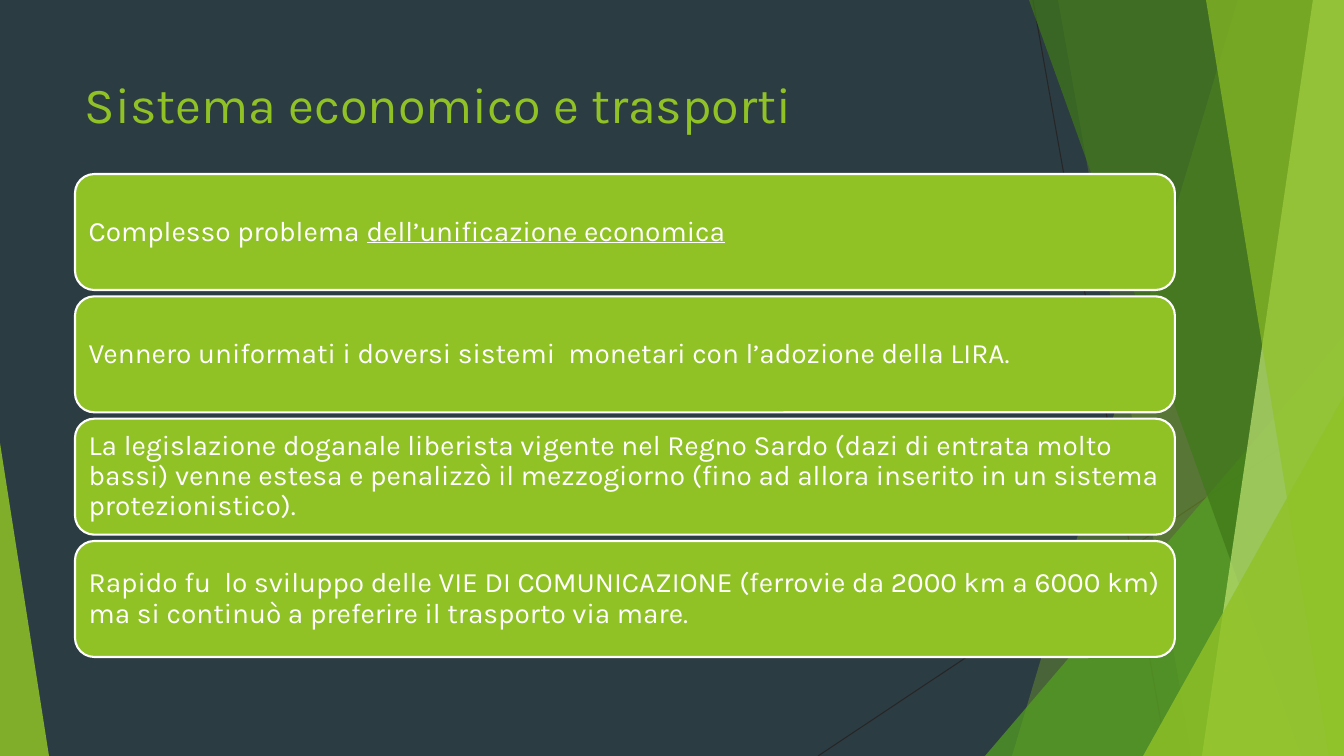
from lxml import etree
from pptx import Presentation
from pptx.dml.color import RGBColor
from pptx.enum.shapes import MSO_CONNECTOR, MSO_SHAPE
from pptx.enum.text import MSO_ANCHOR, PP_ALIGN
from pptx.oxml.ns import qn
from pptx.util import Pt

TRIANGLE, ROUNDED = MSO_SHAPE.ISOSCELES_TRIANGLE, MSO_SHAPE.ROUNDED_RECTANGLE
STRAIGHT = MSO_CONNECTOR.STRAIGHT
TOP, MIDDLE = MSO_ANCHOR.TOP, MSO_ANCHOR.MIDDLE
LEFT = PP_ALIGN.LEFT

TITLE = "Sistema economico e trasporti"
CARDS = [
    [("Complesso problema ", False), ("dell’unificazione economica", True)],
    [("Vennero uniformati i doversi sistemi  monetari con l’adozione della LIRA.", False)],
    [("La legislazione doganale liberista vigente nel Regno Sardo (dazi di entrata "
      "molto bassi) venne estesa e penalizzò il mezzogiorno (fino ad allora inserito "
      "in un sistema protezionistico).", False)],
    [("Rapido fu  lo sviluppo delle VIE DI COMUNICAZIONE (ferrovie da 2000 km a 6000 "
      "km) ma si continuò a preferire il trasporto via mare.", False)],
]

FONT = "Karla"
COLORS = {"bg": "2C3C43", "lime": "90C226", "green": "54A021", "forest": "3F7819",
          "pale": "C0E474", "line": "262626", "white": "FFFFFF"}
PX = 914400 / 100.8
WIDTH, HEIGHT = 1344, 756

RAYS = [(1033, 0, 1167, HEIGHT), (WIDTH, 406, 818, HEIGHT)]
FACETS = [
    ("band", (1238, 1012), "lime", 30),
    ("band", (1058, 1192), "lime", 20),
    ("triangle", (985, 336, 359, 1), "green", 72),
    ("band", (1029, 1301), "forest", 70),
    ("band", (1313, 1202), "pale", 70),
    ("band", (1206, 1329), "lime", 65),
    ("triangle", (1143, 396, 201, 1), "lime", 80),
    ("triangle", (0, 443, 49, 0), "lime", 85),
]
TITLE_BOX = (75, 68, 948, 145)
CARD_LEFT, CARD_TOP, CARD_WIDTH, CARD_HEIGHT = 75, 174, 1100, 116
CARDS_BOTTOM, CARD_INSET = 657, 8


def emu(*values):
    return [round(v * PX) for v in values]


def rgb(name):
    return RGBColor.from_string(COLORS[name])


def paint(sp, color, opacity=100):
    sp.shadow.inherit = False
    sp.fill.solid()
    sp.fill.fore_color.rgb = rgb(color)
    sp.line.fill.background()
    if opacity < 100:
        node = sp.fill._xPr.find(qn("a:solidFill"))[0]
        etree.SubElement(node, qn("a:alpha"), val=str(opacity * 1000))


def write(tf, runs, size, color, frame, paragraph):
    for key, value in {"word_wrap": True, **frame}.items():
        setattr(tf, key, value)
    p = tf.paragraphs[0]
    for key, value in {"alignment": LEFT, **paragraph}.items():
        setattr(p, key, value)
    for text, underline in runs:
        r = p.add_run()
        r.text = text
        for key, value in {"name": FONT, "size": Pt(size), "underline": underline}.items():
            setattr(r.font, key, value)
        r.font.color.rgb = rgb(color)


def add_ray(s, ends):
    line = s.shapes.add_connector(STRAIGHT, *emu(*ends))
    line.line.color.rgb = rgb("line")
    line.line.width = Pt(0.75)
    etree.SubElement(line._element.spPr, qn("a:effectLst"))


def add_facet(s, kind, place, color, opacity):
    if kind == "band":
        top_x, bottom_x = place
        outline = s.shapes.build_freeform(top_x, 0, scale=PX)
        outline.add_line_segments([(WIDTH, 0), (WIDTH, HEIGHT), (bottom_x, HEIGHT)])
        sp = outline.convert_to_shape()
    else:
        x, y, w, apex = place
        sp = s.shapes.add_shape(TRIANGLE, *emu(x, y, w, HEIGHT - y))
        sp.adjustments[0] = apex
    paint(sp, color, opacity)


def add_card(s, top, runs):
    sp = s.shapes.add_shape(ROUNDED, *emu(CARD_LEFT, top, CARD_WIDTH, CARD_HEIGHT))
    paint(sp, "lime")
    sp.line.color.rgb = rgb("white")
    sp.line.width = Pt(1.5)
    inset = emu(CARD_INSET)[0]
    frame = {f"margin_{side}": inset for side in ("left", "top", "right", "bottom")}
    write(sp.text_frame, runs, 20, "white", {"vertical_anchor": MIDDLE, **frame},
          {"line_spacing": 0.9, "space_after": Pt(7)})


def main():
    prs = Presentation()
    prs.slide_width, prs.slide_height = emu(WIDTH, HEIGHT)
    s = prs.slides.add_slide(prs.slide_layouts[6])
    s.background.fill.solid()
    s.background.fill.fore_color.rgb = rgb("bg")
    for ends in RAYS:
        add_ray(s, ends)
    for facet in FACETS:
        add_facet(s, *facet)
    title = s.shapes.add_textbox(*emu(*TITLE_BOX))
    write(title.text_frame, [(TITLE, False)], 36, "lime", {"vertical_anchor": TOP}, {})
    pitch = (CARDS_BOTTOM - CARD_TOP - CARD_HEIGHT) / (len(CARDS) - 1)
    for i, runs in enumerate(CARDS):
        add_card(s, CARD_TOP + i * pitch, runs)
    prs.save("out.pptx")


if __name__ == "__main__":
    main()
